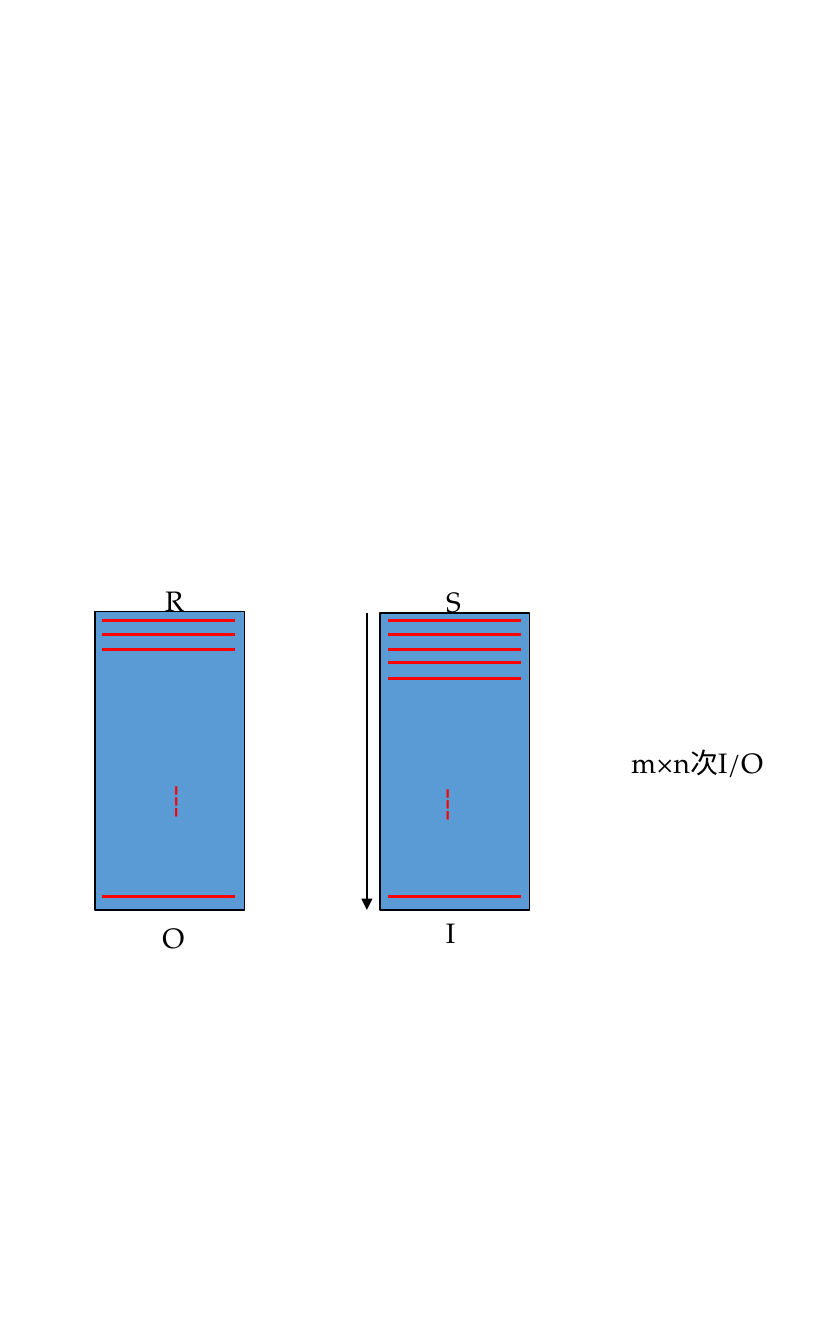
from dataclasses import dataclass

from lxml import etree
from pptx import Presentation
from pptx.dml.color import RGBColor
from pptx.enum import shapes, text
from pptx.oxml import ns
from pptx.util import Inches, Pt


@dataclass(frozen=True)
class Theme:
    font: str = "TeX Gyre Pagella"
    size: float = 15
    ink: str = "000000"
    fill: str = "5B9BD5"
    row: str = "FF0000"
    edge: float = 1
    rule: float = 1.5


def write(frame, words, *, font, size, color):
    frame.word_wrap = False
    frame.auto_size = text.MSO_AUTO_SIZE.SHAPE_TO_FIT_TEXT
    run = frame.paragraphs[0].add_run()
    run.text = words
    run.font.name = font
    run.font.size = Pt(size)
    run.font.color.rgb = RGBColor.from_string(color)


class Canvas:
    def __init__(self, slide, theme):
        self.slide = slide
        self.theme = theme

    def stroke(self, line, color, width):
        line.color.rgb = RGBColor.from_string(color)
        line.width = Pt(width)

    def block(self, *place):
        shape = self.slide.shapes.add_shape(
            shapes.MSO_SHAPE.RECTANGLE, *map(Inches, place))
        shape.shadow.inherit = False
        shape.fill.solid()
        shape.fill.fore_color.rgb = RGBColor.from_string(self.theme.fill)
        self.stroke(shape.line, self.theme.ink, self.theme.edge)

    def line(self, *ends, color, width):
        link = self.slide.shapes.add_connector(
            shapes.MSO_CONNECTOR.STRAIGHT, *map(Inches, ends))
        self.stroke(link.line, color, width)
        etree.SubElement(link._element.spPr, ns.qn("a:effectLst"))
        return link

    def arrow(self, *ends):
        link = self.line(*ends, color=self.theme.ink, width=self.theme.edge)
        tail = etree.SubElement(link.line._get_or_add_ln(), ns.qn("a:tailEnd"))
        tail.set("type", "triangle")

    def rows(self, left, tops, span):
        for top in tops:
            self.line(left, top, left + span, top,
                      color=self.theme.row, width=self.theme.rule)

    def label(self, words, left, top, width, color=None):
        box = self.slide.shapes.add_textbox(
            *map(Inches, (left, top, width, 0.35)))
        write(box.text_frame, words, font=self.theme.font,
              size=self.theme.size, color=color or self.theme.ink)


def main():
    deck = Presentation()
    deck.slide_width, deck.slide_height = Inches(6.25), Inches(10)
    theme = Theme()
    page = Canvas(deck.slides.add_slide(deck.slide_layouts[6]), theme)

    page.block(0.71, 4.55, 1.11, 2.22)
    page.block(2.83, 4.56, 1.11, 2.21)
    page.arrow(2.73, 4.56, 2.73, 6.77)

    outer = [4.62, 4.72, 4.83, 6.67]
    page.rows(0.76, outer, 0.99)
    page.rows(2.89, outer + [4.93, 5.05], 0.99)

    page.label("R", 1.13, 4.29, 0.34)
    page.label("S", 3.22, 4.3, 0.31)
    page.label("O", 1.11, 6.8, 0.37)
    page.label("I", 3.22, 6.76, 0.27)
    page.label("m×n次I/O", 4.6, 5.5, 1.29)
    page.label("┆", 1.15, 5.78, 0.41, theme.row)
    page.label("┆", 3.17, 5.8, 0.41, theme.row)

    deck.save("out.pptx")


if __name__ == "__main__":
    main()
